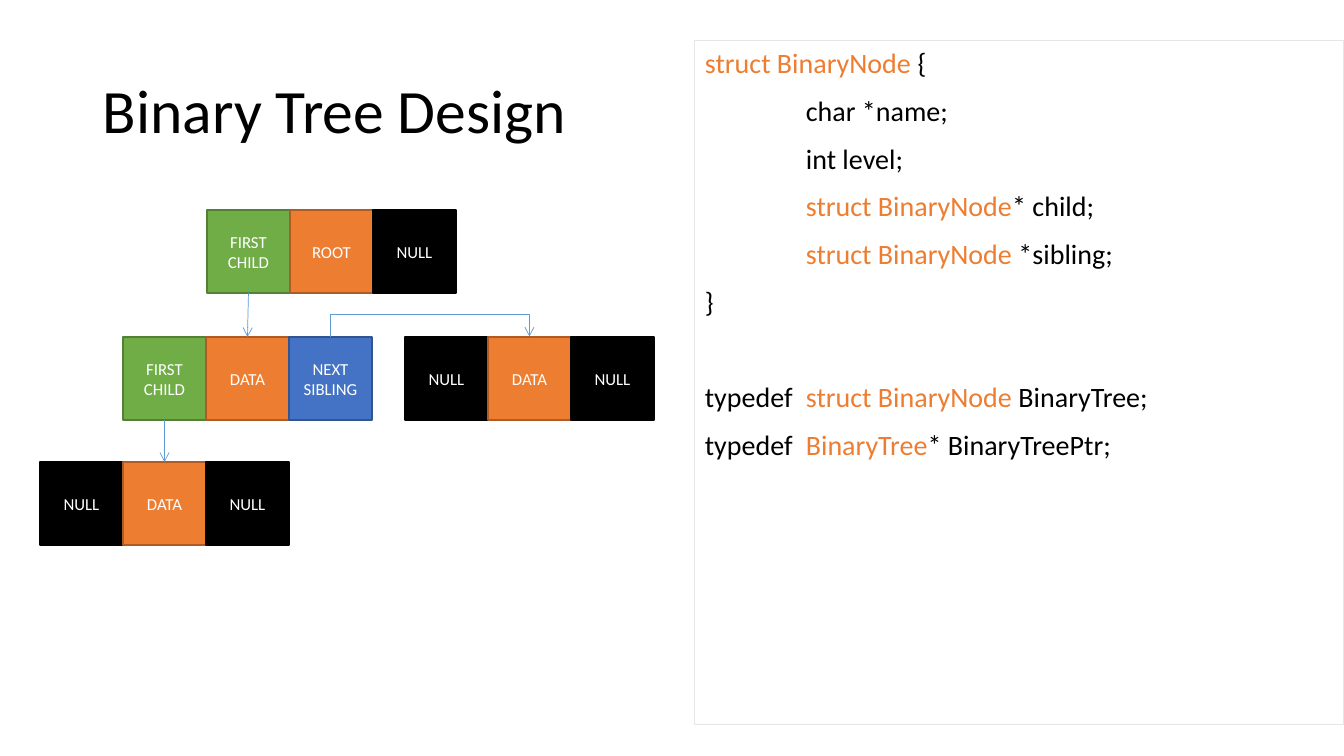
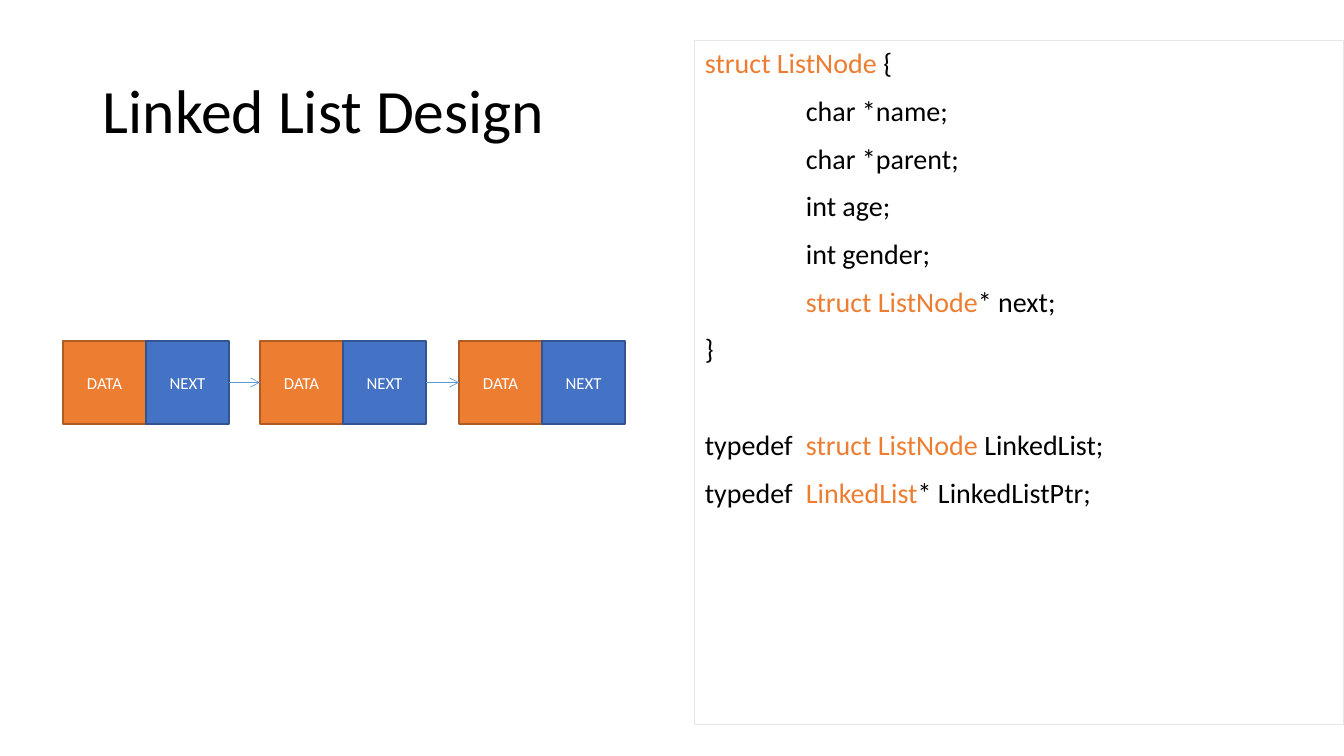
from lxml import etree
from pptx import Presentation
from pptx import util as u
from pptx.dml.color import RGBColor
from pptx.enum import shapes, text
from pptx.oxml.ns import qn

SLIDE_W, SLIDE_H = 1344, 756
FONT = "Calibri"
INK, ACCENT, WHITE = "000000", "ED7D31", "FFFFFF"
FRAME, ARROW = "E7E6E6", "5B9BD5"
CELL = 83
TAB = 101
TOP, LEFT, BOTTOM, RIGHT = range(4)

# Fill and outline for each role a cell can play
ORANGE = (ACCENT, "AF5C24")
GREEN = ("70AD47", "538035")
BLUE = ("4472C4", "325491")
BLACK = (INK, INK)
CELL_COLORS = {
    "FIRST\nCHILD": GREEN, "ROOT": ORANGE, "DATA": ORANGE,
    "NEXT SIBLING": BLUE, "NEXT": BLUE, "NULL": BLACK,
}

# Code blocks: parts between bars take the accent colour
TREE_CODE = [
    ["|struct BinaryNode |{", "\tchar *name;", "\tint level;",
     "\t|struct BinaryNode|* child;", "\t|struct BinaryNode| *sibling;", "}"],
    ["typedef\t|struct BinaryNode| BinaryTree;",
     "typedef\t|BinaryTree|* BinaryTreePtr;"],
]
LIST_CODE = [
    ["|struct ListNode |{", "\tchar *name;", "\tchar *parent;", "\tint age;",
     "\tint gender;", "\t|struct ListNode|* next;", "}"],
    ["typedef\t|struct ListNode |LinkedList;",
     "typedef\t|LinkedList|* LinkedListPtr;"],
]


def px(length):
    return u.Emu(round(length * 914400 / 100.8))


def color(value):
    return RGBColor.from_string(value)


def add_span(para, words, size, ink):
    span = para.add_run()
    span.text = words
    span.font.name = FONT
    span.font.size = u.Pt(size)
    span.font.color.rgb = color(ink)


def add_tab_stop(para, position):
    stops = etree.SubElement(para._p.get_or_add_pPr(), qn("a:tabLst"))
    etree.SubElement(stops, qn("a:tab"), pos=str(px(position)), algn="l")


def add_rect(page, x, y, width, height, fill, line, weight):
    box = page.shapes.add_shape(shapes.MSO_SHAPE.RECTANGLE,
                                px(x), px(y), px(width), px(height))
    box.shadow.inherit = False
    if fill:
        box.fill.solid()
        box.fill.fore_color.rgb = color(fill)
    else:
        box.fill.background()
    box.line.color.rgb = color(line)
    box.line.width = u.Pt(weight)
    box.text_frame.word_wrap = True
    return box


def add_title(page, words):
    box = page.shapes.add_textbox(px(93), px(41), px(603), px(146))
    frame = box.text_frame
    frame.word_wrap = True
    frame.vertical_anchor = text.MSO_ANCHOR.MIDDLE
    para = frame.paragraphs[0]
    para.line_spacing = 0.9
    add_span(para, words, 44, INK)


def add_code(page, blocks):
    frame = add_rect(page, 695, 41, 649, 684, None, FRAME, 0.75).text_frame
    frame.vertical_anchor = text.MSO_ANCHOR.TOP
    para = frame.paragraphs[0]
    for block_no, block in enumerate(blocks):
        for line_no, line in enumerate(block):
            if block_no or line_no:
                para = frame.add_paragraph()
            para.alignment = text.PP_ALIGN.JUSTIFY
            # One line of extra space separates the blocks
            para.space_before = u.Pt(44.4 if block_no and not line_no else 10)
            add_tab_stop(para, TAB)
            for part_no, part in enumerate(line.split("|")):
                if part:
                    add_span(para, part, 20, ACCENT if part_no % 2 else INK)


def add_node(page, x, y, labels):
    """Draw one node as a row of cells and return the cells."""
    cells = []
    for column, label in enumerate(labels):
        cell = add_rect(page, x + column * CELL, y, CELL, CELL,
                        *CELL_COLORS[label], 1)
        frame = cell.text_frame
        frame.vertical_anchor = text.MSO_ANCHOR.MIDDLE
        for line_no, line in enumerate(label.split("\n")):
            para = frame.add_paragraph() if line_no else frame.paragraphs[0]
            para.alignment = text.PP_ALIGN.CENTER
            add_span(para, line, 12, WHITE)
        cells.append(cell)
    return cells


def add_arrow(page, kind, start, start_side, end, end_side):
    arrow = page.shapes.add_connector(kind, 0, 0, 0, 0)
    arrow.begin_connect(start, start_side)
    arrow.end_connect(end, end_side)
    arrow.line.color.rgb = color(ARROW)
    arrow.line.width = u.Pt(0.5)
    etree.SubElement(arrow.line._get_or_add_ln(), qn("a:tailEnd"), type="arrow")
    etree.SubElement(arrow._element.spPr, qn("a:effectLst"))
    return arrow


def add_straight(page, *ends):
    add_arrow(page, shapes.MSO_CONNECTOR.STRAIGHT, *ends)


def add_bridge(page, start, end, rise):
    """Join the tops of two level cells with a line that runs above them."""
    arrow = add_arrow(page, shapes.MSO_CONNECTOR.ELBOW, start, TOP, end, TOP)
    span = end.left - start.left
    # The elbow is turned a quarter, so its height spans the cells
    arrow.width, arrow.height = px(1), span
    arrow.left = start.left + (start.width + span - px(1)) // 2
    arrow.top = start.top - span // 2
    properties = arrow._element.spPr
    frame = properties.find(qn("a:xfrm"))
    frame.set("rot", "16200000")
    for flip in ("flipH", "flipV"):
        frame.attrib.pop(flip, None)
    guides = properties.find(qn("a:prstGeom")).get_or_add_avLst()
    etree.SubElement(guides, qn("a:gd"), name="adj1", fmla=f"val {rise * 100000}")


def add_page(deck, title, code):
    page = deck.slides.add_slide(deck.slide_layouts[6])
    add_title(page, title)
    add_code(page, code)
    return page


def build_tree(deck):
    page = add_page(deck, "Binary Tree Design", TREE_CODE)
    root = add_node(page, 207, 210, ["FIRST\nCHILD", "ROOT", "NULL"])
    child = add_node(page, 123, 337, ["FIRST\nCHILD", "DATA", "NEXT SIBLING"])
    sibling = add_node(page, 405, 337, ["NULL", "DATA", "NULL"])
    leaf = add_node(page, 40, 462, ["NULL", "DATA", "NULL"])
    add_bridge(page, child[2], sibling[1], 23)
    for parent, below in ((root, child), (child, leaf)):
        add_straight(page, parent[0], BOTTOM, below[1], TOP)


def build_list(deck):
    page = add_page(deck, "Linked List Design", LIST_CODE)
    nodes = [add_node(page, x, 341, ["DATA", "NEXT"]) for x in (63, 260, 459)]
    for node, following in zip(nodes, nodes[1:]):
        add_straight(page, node[1], RIGHT, following[0], LEFT)


def main():
    deck = Presentation()
    deck.slide_width, deck.slide_height = px(SLIDE_W), px(SLIDE_H)
    build_tree(deck)
    build_list(deck)
    deck.save("out.pptx")


if __name__ == "__main__":
    main()
